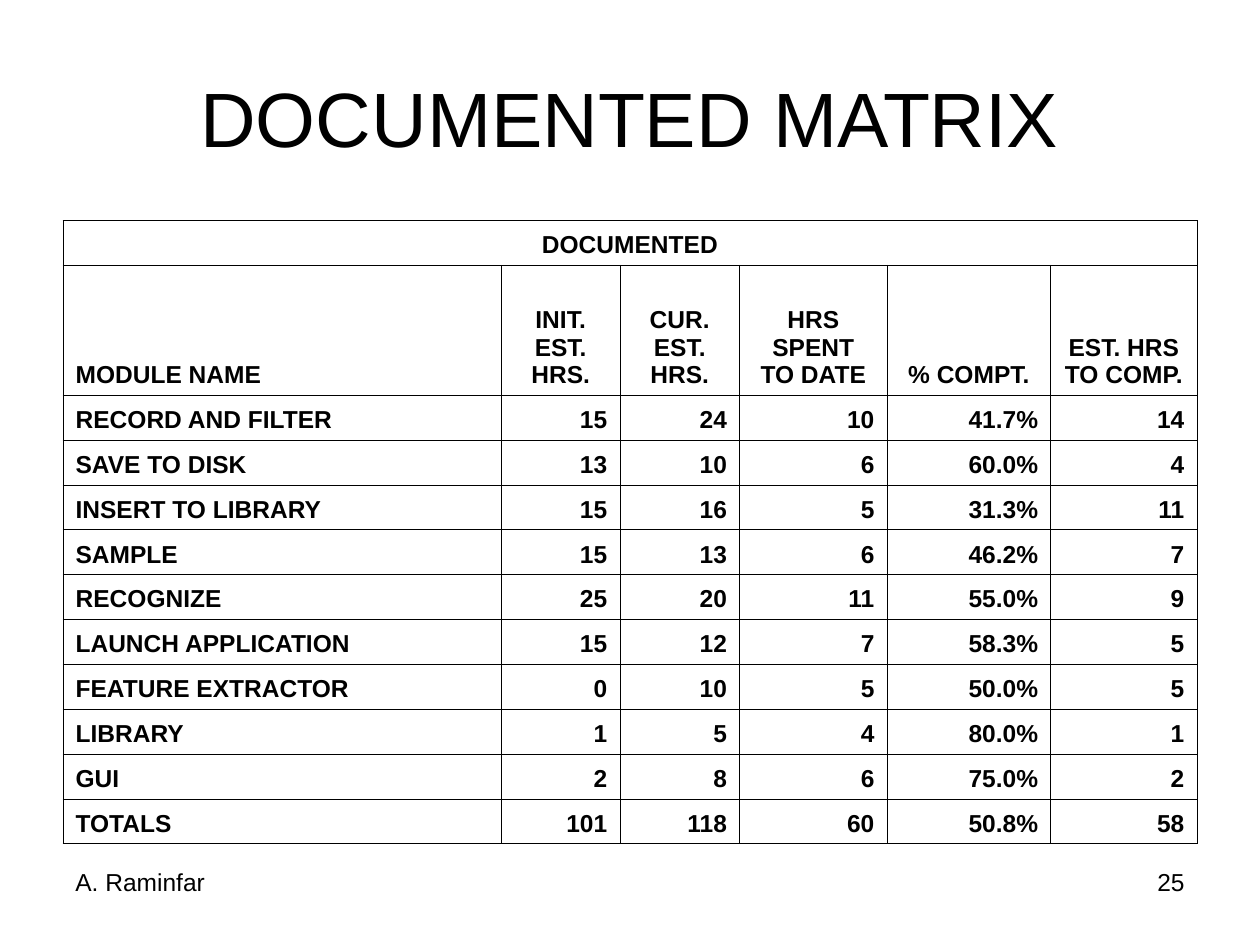
import dataclasses

import lxml.etree
import pptx
import pptx.dml.color
import pptx.enum.text
import pptx.oxml.ns
import pptx.util

Pt = pptx.util.Pt
Align = pptx.enum.text.PP_ALIGN
Anchor = pptx.enum.text.MSO_ANCHOR
BLACK = pptx.dml.color.RGBColor(0, 0, 0)
FONT = "Arial"
LEFT, WIDTH = 36, 648
COLS = (250.56, 67.68, 68.4, 84.24, 93.6, 83.52)
ROW, HEAD = 25.65, 74.25
BORDER = 0.45


@dataclasses.dataclass(frozen=True)
class Label:
    text: str
    left: float
    top: float
    width: float
    height: float
    size: float
    align: Align
    anchor: Anchor = Anchor.TOP


LABELS = (
    Label("DOCUMENTED MATRIX", LEFT, 21.6, WIDTH, 90, 44, Align.CENTER, Anchor.MIDDLE),
    Label("25", 516, 492, 168, 37.5, 14, Align.RIGHT),
    Label("A. Raminfar", LEFT, 492, 168, 37.5, 14, Align.LEFT),
)

HEADS = (
    "MODULE NAME", "INIT. EST. HRS.", "CUR. EST. HRS.",
    "HRS SPENT TO DATE", "% COMPT.", "EST. HRS TO COMP.",
)
MODULES = (
    ("RECORD AND FILTER", "15", "24", "10", "41.7%", "14"),
    ("SAVE TO DISK", "13", "10", "6", "60.0%", "4"),
    ("INSERT TO LIBRARY", "15", "16", "5", "31.3%", "11"),
    ("SAMPLE", "15", "13", "6", "46.2%", "7"),
    ("RECOGNIZE", "25", "20", "11", "55.0%", "9"),
    ("LAUNCH APPLICATION", "15", "12", "7", "58.3%", "5"),
    ("FEATURE EXTRACTOR", "0", "10", "5", "50.0%", "5"),
    ("LIBRARY", "1", "5", "4", "80.0%", "1"),
    ("GUI", "2", "8", "6", "75.0%", "2"),
    ("TOTALS", "101", "118", "60", "50.8%", "58"),
)


def write(frame, text: str, size: float, align: Align, bold: bool = False) -> None:
    frame.text = text
    para = frame.paragraphs[0]
    para.alignment = align
    para.font.name = FONT
    para.font.size = Pt(size)
    para.font.bold = bold
    para.font.color.rgb = BLACK


def draw_label(slide, label: Label) -> None:
    box = slide.shapes.add_textbox(
        Pt(label.left), Pt(label.top), Pt(label.width), Pt(label.height)
    )
    frame = box.text_frame
    frame.word_wrap = True
    frame.vertical_anchor = label.anchor
    write(frame, label.text, label.size, label.align)


def frame_cell(cell) -> None:
    cell.fill.background()
    props = cell._tc.get_or_add_tcPr()
    qn = pptx.oxml.ns.qn
    for place, side in enumerate(("a:lnL", "a:lnR", "a:lnT", "a:lnB")):
        line = lxml.etree.Element(qn(side), w=str(Pt(BORDER)))
        fill = lxml.etree.SubElement(line, qn("a:solidFill"))
        lxml.etree.SubElement(fill, qn("a:srgbClr"), val=str(BLACK))
        props.insert(place, line)


def draw_matrix(slide) -> None:
    rows = (("DOCUMENTED",) + ("",) * (len(COLS) - 1), HEADS, *MODULES)
    tall = HEAD + ROW * (len(rows) - 1)
    table = slide.shapes.add_table(
        len(rows), len(COLS), Pt(LEFT), Pt(126), Pt(WIDTH), Pt(tall)
    ).table
    table.first_row = False
    table.horz_banding = False
    for col, width in zip(table.columns, COLS):
        col.width = Pt(width)
    for r, texts in enumerate(rows):
        table.rows[r].height = Pt(HEAD if r == 1 else ROW)
        for c, text in enumerate(texts):
            cell = table.cell(r, c)
            frame_cell(cell)
            cell.vertical_anchor = Anchor.BOTTOM
            if r > 0 and c == 0:
                align = Align.LEFT
            else:
                align = Align.CENTER if r < 2 else Align.RIGHT
            write(cell.text_frame, text, 14, align, True)
    table.cell(0, 0).merge(table.cell(0, len(COLS) - 1))


def main() -> None:
    """Build the documented matrix slide."""
    deck = pptx.Presentation()
    deck.slide_width, deck.slide_height = Pt(720), Pt(540)
    slide = deck.slides.add_slide(deck.slide_layouts[6])
    draw_matrix(slide)
    for label in LABELS:
        draw_label(slide, label)
    deck.save("out.pptx")


if __name__ == "__main__":
    main()
